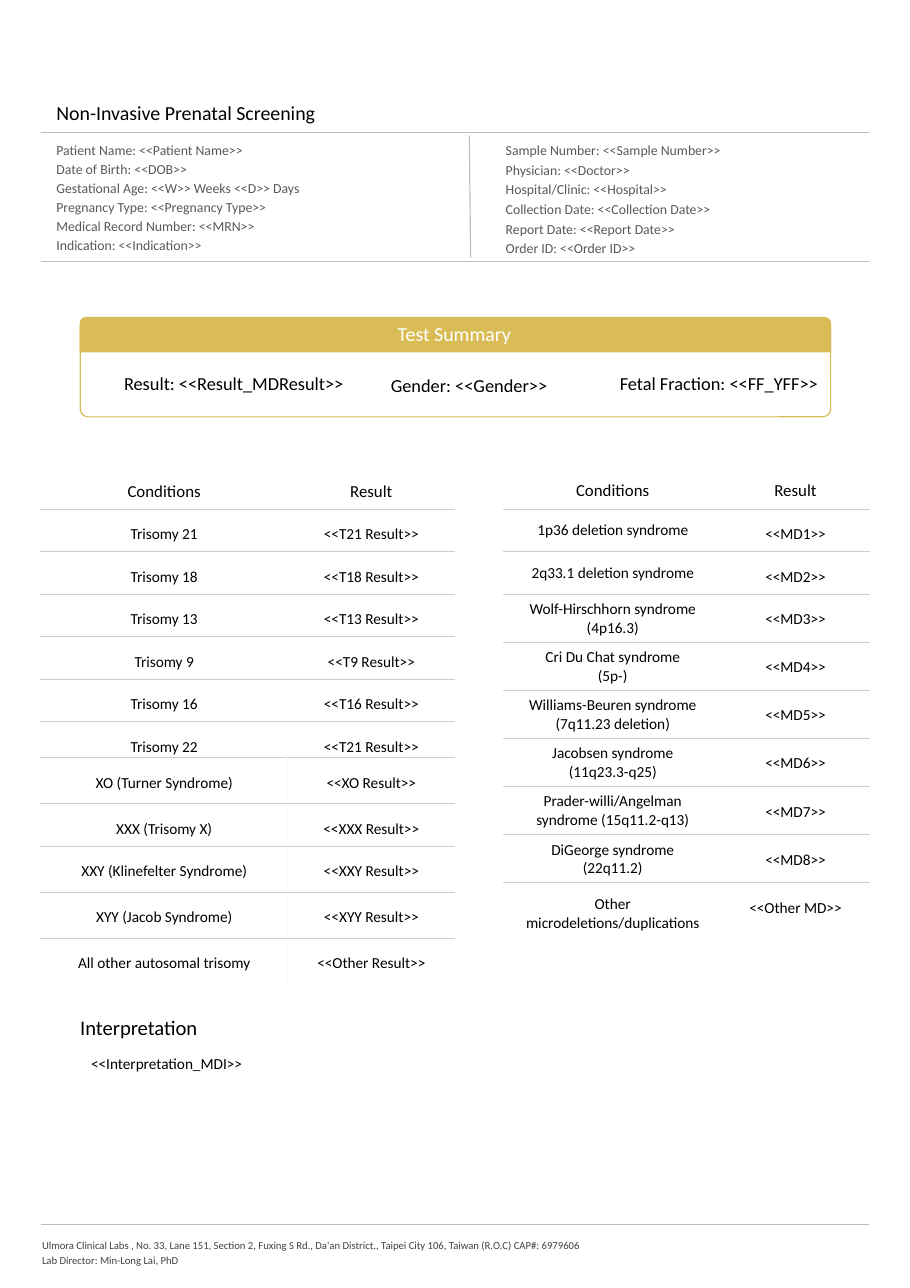
"""Build a one-page prenatal screening report form."""
from lxml.etree import SubElement as Sub
from pptx import Presentation
from pptx.dml.color import RGBColor as RGB
from pptx.enum.shapes import MSO_CONNECTOR as Link, MSO_SHAPE as Shape
from pptx.enum.text import MSO_ANCHOR as Anchor, MSO_AUTO_SIZE as Fit, PP_ALIGN as Align
from pptx.oxml.ns import qn
from pptx.util import Cm, Pt

FONT = "Calibri"
BLACK = RGB(0x00, 0x00, 0x00)
WHITE = RGB(0xFF, 0xFF, 0xFF)
GOLD = RGB(0xD9, 0xBC, 0x56)
GREY = RGB(0x59, 0x59, 0x59)
DARK = RGB(0x41, 0x41, 0x41)
RULE = RGB(0xBD, 0xBD, 0xBD)
GRID = RGB(0xCE, 0xCE, 0xCE)
FAINT = RGB(0xF9, 0xFA, 0xF9)

FLAT = (0.03, 0.03, 0, 0)
PAD = (0.25, 0.13, 0.25, 0.13)
WIDE = (0.25, 0.25, 0.25, 0.25)
HEAD = (0, 0.3, 0, 0)
CELL = (0, 0.15, 0, 0)

PATIENT = [
    "Patient Name: <<Patient Name>>",
    "Date of Birth: <<DOB>>",
    "Gestational Age: <<W>> Weeks <<D>> Days",
    "Pregnancy Type: <<Pregnancy Type>>",
    "Medical Record Number: <<MRN>>",
    "Indication: <<Indication>>",
]
SAMPLE = [
    "Sample Number: <<Sample Number>>",
    "Physician: <<Doctor>>",
    "Hospital/Clinic: <<Hospital>>",
    "Collection Date: <<Collection Date>>",
    "Report Date: <<Report Date>>",
    "Order ID: <<Order ID>>",
]
ADDRESS = [
    "Ulmora Clinical Labs , No. 33, Lane 151, Section 2, Fuxing S Rd., "
    "Da'an District., Taipei City 106, Taiwan (R.O.C) CAP#: 6979606",
    "Lab Director: Min-Long Lai, PhD",
]
TITLES = ("Conditions", "Result")
TRISOMY = [
    TITLES,
    ("Trisomy 21", "<<T21 Result>>"),
    ("Trisomy 18", "<<T18 Result>>"),
    ("Trisomy 13", "<<T13 Result>>"),
    ("Trisomy 9", "<<T9 Result>>"),
    ("Trisomy 16", "<<T16 Result>>"),
    ("Trisomy 22", "<<T21 Result>>"),
    ("XO (Turner Syndrome)", "<<XO Result>>"),
    ("XXX (Trisomy X)", "<<XXX Result>>"),
    ("XXY (Klinefelter Syndrome)", "<<XXY Result>>"),
    ("XYY (Jacob Syndrome)", "<<XYY Result>>"),
    ("All other autosomal trisomy", "<<Other Result>>"),
]
DELETION = [
    TITLES,
    ("1p36 deletion syndrome", "<<MD1>>"),
    ("2q33.1 deletion syndrome", "<<MD2>>"),
    ("Wolf-Hirschhorn syndrome\n(4p16.3)", "<<MD3>>"),
    ("Cri Du Chat syndrome\n(5p-)", "<<MD4>>"),
    ("Williams-Beuren syndrome (7q11.23 deletion)", "<<MD5>>"),
    ("Jacobsen syndrome\n(11q23.3-q25)", "<<MD6>>"),
    ("Prader-willi/Angelman syndrome (15q11.2-q13)", "<<MD7>>"),
    ("DiGeorge syndrome\n(22q11.2)", "<<MD8>>"),
    ("Other microdeletions/duplications", "<<Other MD>>"),
]


def write(frame, lines, size, color=BLACK, align=Align.LEFT, space=None, gap=0):
    """Fill a text frame with evenly styled paragraphs."""
    for i, line in enumerate(lines):
        para = frame.add_paragraph() if i else frame.paragraphs[0]
        para.text = line
        para.alignment = align
        if space:
            para.line_spacing = space
        if i and gap:
            para.space_before = Pt(gap)
        font = para.font
        font.name, font.size, font.color.rgb = FONT, Pt(size), color


def inset(part, pads):
    """Set the left, top, right and bottom margins."""
    part.margin_left, part.margin_top, part.margin_right, part.margin_bottom = map(Cm, pads)


def label(slide, box, lines, size, pads=FLAT, **style):
    """Add a wrapped text box."""
    frame = slide.shapes.add_textbox(*map(Cm, box)).text_frame
    frame.word_wrap = True
    frame.auto_size = Fit.SHAPE_TO_FIT_TEXT
    inset(frame, pads)
    write(frame, lines, size, **style)


def rule(slide, *ends):
    """Add a thin grey line between two points."""
    line = slide.shapes.add_connector(Link.STRAIGHT, *map(Cm, ends))
    line.line.color.rgb, line.line.width = RULE, Pt(0.75)
    Sub(line._element.spPr, qn("a:effectLst"))


def panel(slide, kind, box, bends, fill=None):
    """Add a gold-edged shape with rounded corners."""
    shape = slide.shapes.add_shape(kind, *map(Cm, box))
    shape.shadow.inherit = False
    for i, bend in enumerate(bends):
        shape.adjustments[i] = bend
    if fill is None:
        shape.fill.background()
    else:
        shape.fill.solid()
        shape.fill.fore_color.rgb = fill
    shape.line.color.rgb, shape.line.width = GOLD, Pt(0.75)


def edge(cell, colors):
    """Colour the left, right, top and bottom borders of a cell."""
    props = cell._tc.get_or_add_tcPr()
    for side, color in zip("LRTB", colors):
        line = Sub(props, qn(f"a:ln{side}"), w=str(Pt(0.75)))
        Sub(Sub(line, qn("a:solidFill")), qn("a:srgbClr"), val=str(color))


def header(slide, box):
    """Place the title and the two columns of case details."""
    x, y, w, h = box
    label(slide, (x + 0.33, y - 0.79, 9.5, 0.58), ["Non-Invasive Prenatal Screening"], 13,
          (0.03, 0.05, 0, 0))
    for level in (y, y + h):
        rule(slide, x, level, x + w, level)
    rule(slide, x + 9.88, y + 0.07, x + 9.91, y + h - 0.08)
    for left, lines, gap in ((0.33, PATIENT, 0), (10.69, SAMPLE, 0.4)):
        label(slide, (x + left, y + 0.13, 7.95, 2.67), lines, 9, color=GREY, space=1.15, gap=gap)


def summary(slide, box):
    """Place the gold summary card and its three readings."""
    x, y, w, h = box
    panel(slide, Shape.ROUNDED_RECTANGLE, (x, y + 0.05, w, h - 0.05), [0.08])
    panel(slide, Shape.ROUND_2_SAME_RECTANGLE, (x, y, w, 0.79), [0.17, 0], GOLD)
    label(slide, (x + 4.47, y - 0.15, 8.31, 1.07), ["Test Summary"], 13, WIDE,
          color=WHITE, align=Align.CENTER)
    for left, top, width, text in (
        (0.76, 1.14, 5.89, "Result: <<Result_MDResult>>"),
        (6.91, 1.17, 4.75, "Gender: <<Gender>>"),
        (12.19, 1.14, 5.16, "Fetal Fraction: <<FF_YFF>>"),
    ):
        label(slide, (x + left, y + top, width, 0.76), [text], 12, PAD)


def results(slide, box, data, cols, rows, split=None, mid=False):
    """Place a two-column table of conditions and results."""
    table = slide.shapes.add_table(len(data), 2, *map(Cm, box)).table
    table.first_row = table.horz_banding = False
    for c, width in enumerate(cols):
        table.columns[c].width = Cm(width)
    for r, (pair, height) in enumerate(zip(data, rows)):
        table.rows[r].height = Cm(height)
        inner = FAINT if split and r >= split else WHITE
        top = GRID if r else WHITE
        base = GRID if r < len(data) - 1 else WHITE
        for c, text in enumerate(pair):
            cell = table.cell(r, c)
            edge(cell, (inner if c else WHITE, WHITE if c else inner, top, base))
            cell.fill.solid()
            cell.fill.fore_color.rgb = WHITE
            tight = mid and r and not c
            inset(cell, PAD if tight else CELL if r else HEAD)
            if tight:
                cell.vertical_anchor = Anchor.MIDDLE
            write(cell.text_frame, text.split("\n"), 10 if r else 11, align=Align.CENTER,
                  space=1.5 if r and not tight else None)


def notes(slide, box):
    """Place the interpretation heading and its text."""
    x, y, w, h = box
    label(slide, (x, y, 3.25, 0.64), ["Interpretation"], 13.5, (0, 0.05, 0, 0))
    label(slide, (x, y + 0.74, w, h - 0.74), ["<<Interpretation_MDI>>"], 10, WIDE)


def footer(slide, box):
    """Place the closing rule and the address."""
    x, y, w, h = box
    rule(slide, x, y, x + w, y)
    label(slide, (x, y + 0.25, 15.16, h - 0.25), ADDRESS, 7, color=DARK, space=1.19)


def main():
    """Build and save the report."""
    deck = Presentation()
    deck.slide_width, deck.slide_height = Cm(20.98), Cm(29.69)
    slide = deck.slides.add_slide(deck.slide_layouts[6])
    header(slide, (0.94, 3.05, 19.1, 2.97))
    summary(slide, (1.85, 7.32, 17.3, 2.29))
    results(slide, (0.94, 10.8, 9.55, 11.89), TRISOMY, (5.69, 3.86),
            [0.94] + [0.98] * 5 + [0.83, 1.06, 0.98] + [1.06] * 3, split=7)
    results(slide, (11.61, 10.77, 8.43, 10.97), DELETION, (5.03, 3.4),
            [0.97] + [0.98] * 2 + [1.1] * 6 + [1.42], mid=True)
    notes(slide, (1.85, 23.34, 17.3, 1.68))
    footer(slide, (0.94, 28.22, 19.1, 1.42))
    deck.save("out.pptx")


if __name__ == "__main__":
    main()
